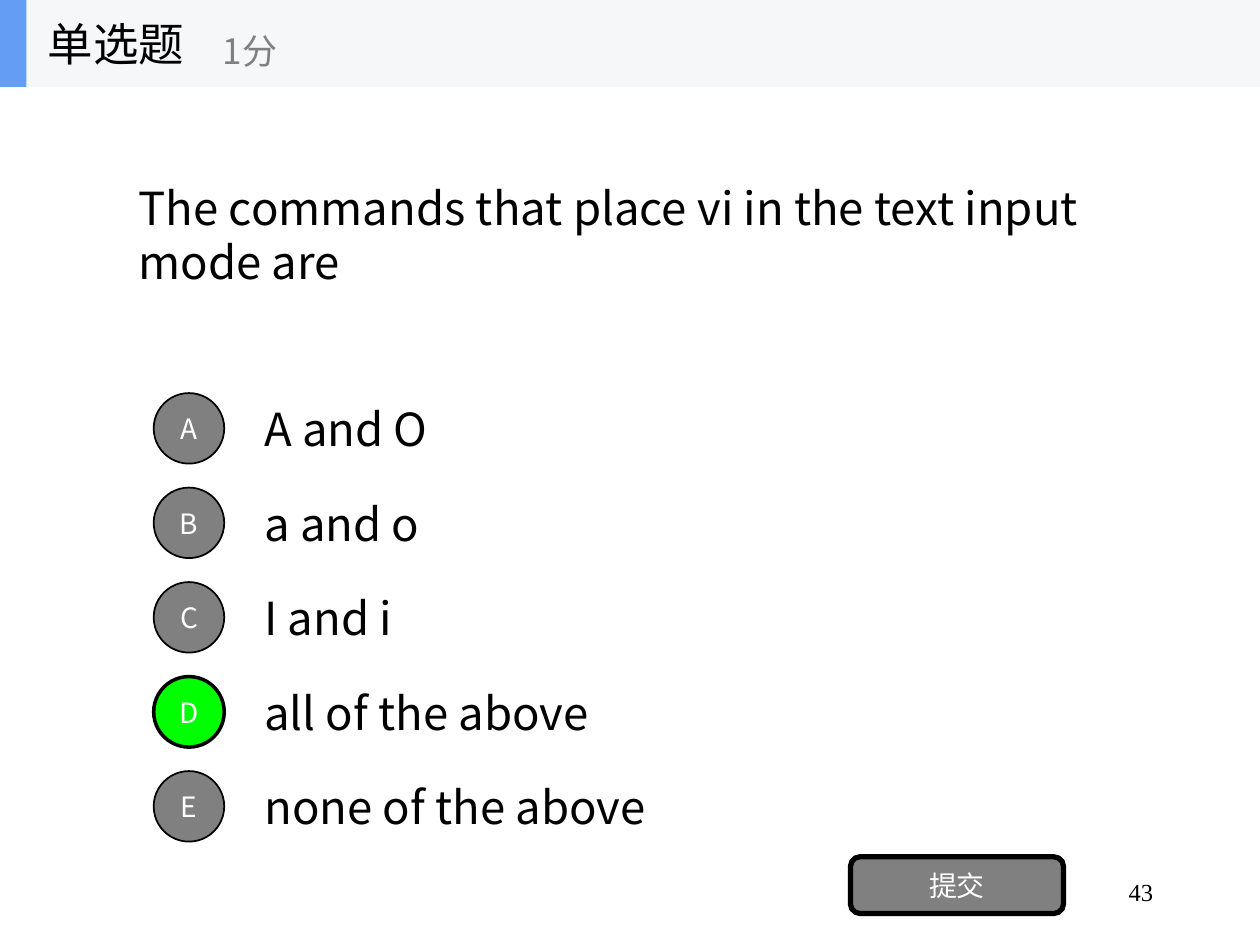
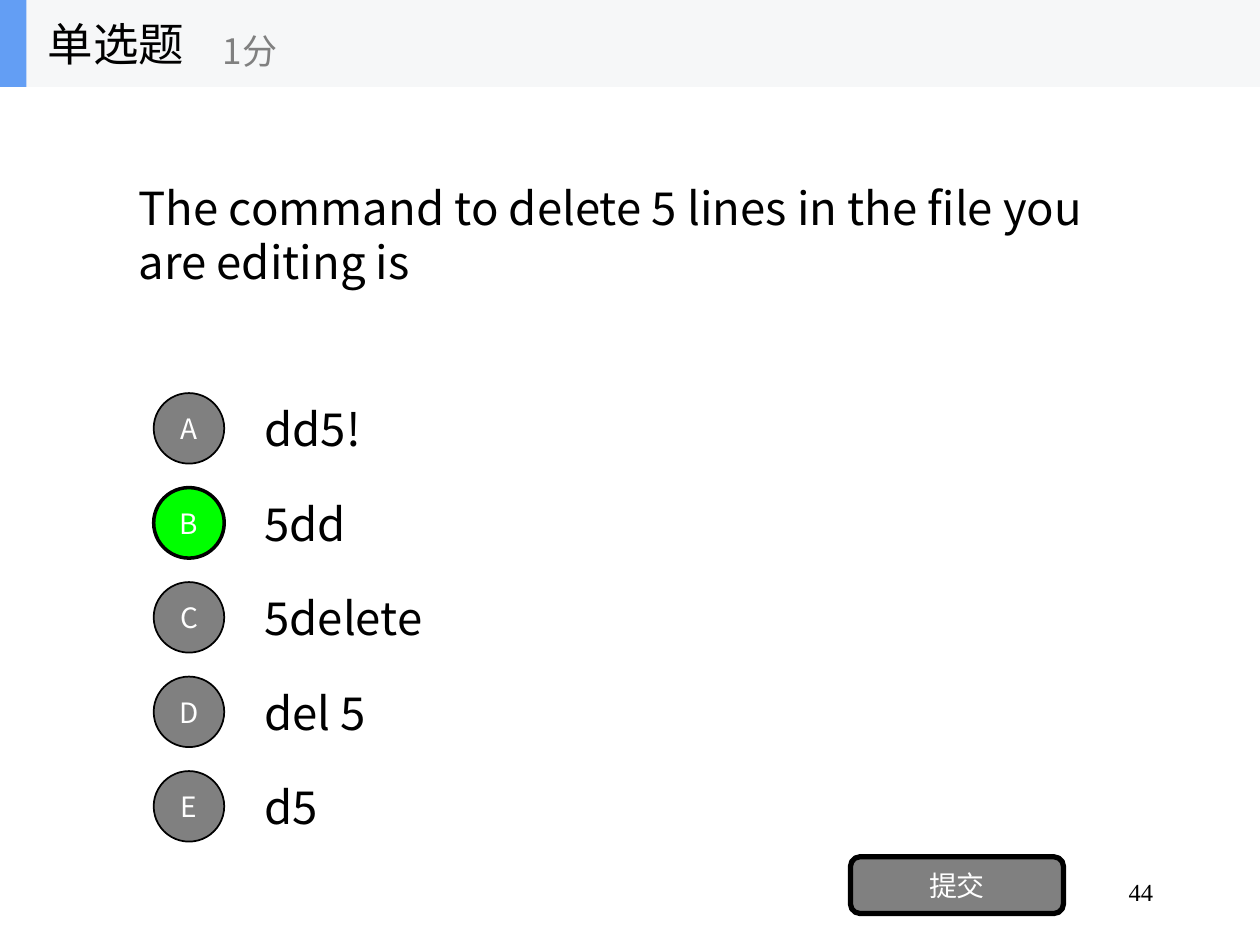
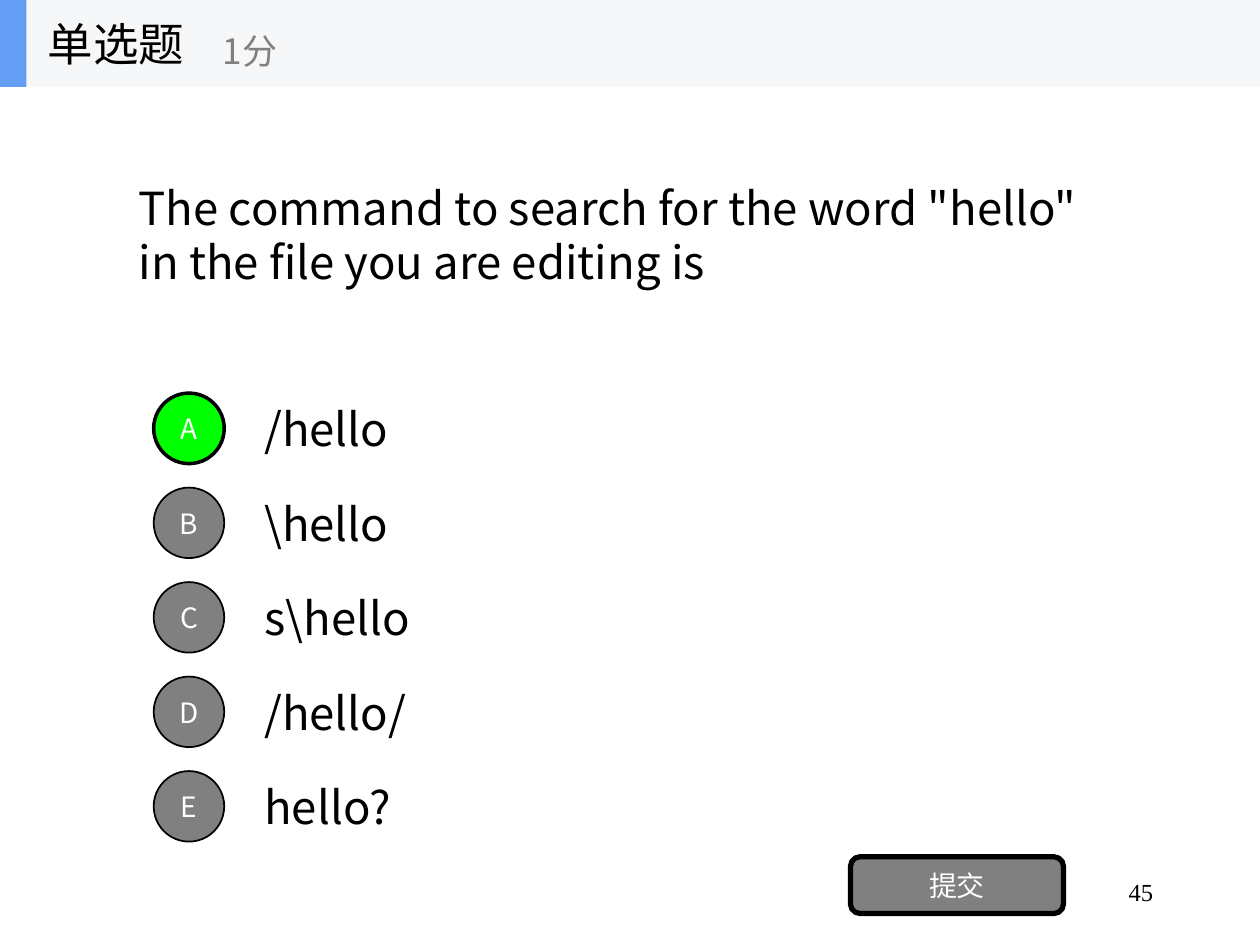
from dataclasses import dataclass

from lxml.etree import SubElement
from pptx import Presentation
from pptx.dml.color import RGBColor
from pptx.enum.shapes import MSO_SHAPE as Shape
from pptx.enum.text import MSO_ANCHOR as Anchor, MSO_AUTO_SIZE as AutoSize, PP_ALIGN as Align
from pptx.oxml.ns import qn
from pptx.util import Inches, Pt

COLORS = {
    "black": "000000",
    "white": "FFFFFF",
    "gray": "808080",
    "correct": "00FF00",
    "band": "F6F7F8",
    "accent": "639EF4",
}
SANS = "Noto Sans CJK SC"
SERIF = "Times New Roman"

FIRST_PAGE = 43
BAND_HEIGHT = 0.69
OPTION_TOP, OPTION_STEP, OPTION_HEIGHT = 3.05, 0.75, 0.7
BADGE_LEFT, BADGE_SIZE = 1.22, 0.56


@dataclass(frozen=True)
class Area:
    left: float
    top: float
    width: float
    height: float

    def lengths(self):
        return [Inches(n) for n in (self.left, self.top, self.width, self.height)]


@dataclass(frozen=True)
class Question:
    text: str
    options: tuple[str, ...]
    answer: str


QUESTIONS = (
    Question(
        "The commands that place vi in the text input mode are",
        ("A and O", "a and o", "I and i", "all of the above", "none of the above"),
        "D",
    ),
    Question(
        "The command to delete 5 lines in the file you are editing is",
        ("dd5!", "5dd", "5delete", "del 5", "d5"),
        "B",
    ),
    Question(
        'The command to search for the word "hello" in the file you are editing is',
        ("/hello", "\\hello", "s\\hello", "/hello/", "hello?"),
        "A",
    ),
)


def rgb(name: str) -> RGBColor:
    return RGBColor.from_string(COLORS[name])


def write(box, text: str, *, size=26, color="black", font=SANS, align=Align.LEFT, wrap=True):
    frame = box.text_frame
    frame.auto_size = AutoSize.NONE
    frame.word_wrap = wrap
    frame.vertical_anchor = Anchor.MIDDLE
    para = frame.paragraphs[0]
    para.alignment = align
    span = para.add_run()
    span.text = text
    span.font.size = Pt(size)
    span.font.name = font
    span.font.color.rgb = rgb(color)
    SubElement(span.font._element, qn("a:ea"), typeface=font)


def add_text(page, area: Area, text: str, **style):
    write(page.shapes.add_textbox(*area.lengths()), text, **style)


def add_block(page, kind, area: Area, fill: str, line_width=0):
    block = page.shapes.add_shape(kind, *area.lengths())
    block.shadow.inherit = False
    block.fill.solid()
    block.fill.fore_color.rgb = rgb(fill)
    if line_width:
        block.line.color.rgb = rgb("black")
        block.line.width = Pt(line_width)
    else:
        block.line.fill.background()
    return block


def add_button(page, kind, area: Area, text: str, fill: str, line_width: float):
    button = add_block(page, kind, area, fill, line_width)
    write(button, text, size=16, color="white", align=Align.CENTER, wrap=False)


def add_header(page):
    add_block(page, Shape.RECTANGLE, Area(0, 0, 10, BAND_HEIGHT), "band")
    add_block(page, Shape.RECTANGLE, Area(0, 0, 0.21, BAND_HEIGHT), "accent")
    add_text(page, Area(0.28, 0, 2.08, BAND_HEIGHT), "单选题")
    add_text(page, Area(1.67, 0.12, 2.5, 0.56), "1分", size=20, color="gray")


def add_options(page, question: Question):
    for index, (letter, option) in enumerate(zip("ABCDE", question.options)):
        top = OPTION_TOP + index * OPTION_STEP
        badge_top = top + (OPTION_HEIGHT - BADGE_SIZE) / 2
        fill, line_width = ("correct", 2) if letter == question.answer else ("gray", 1)
        add_text(page, Area(2, top, 7, OPTION_HEIGHT), option)
        add_button(page, Shape.OVAL, Area(BADGE_LEFT, badge_top, BADGE_SIZE, BADGE_SIZE),
                   letter, fill, line_width)


def add_question(deck, question: Question, number: int):
    page = deck.slides.add_slide(deck.slide_layouts[5])
    title = page.shapes.title
    title.left, title.top, title.width, title.height = Area(1, BAND_HEIGHT, 8, 2.34).lengths()
    write(title, question.text)
    add_text(page, Area(7.17, 6.83, 2.08, 0.5), str(number),
             size=14, font=SERIF, align=Align.RIGHT)
    add_options(page, question)
    add_button(page, Shape.ROUNDED_RECTANGLE, Area(6.75, 6.8, 1.69, 0.45), "提交", "gray", 3)
    add_header(page)


def main():
    deck = Presentation()
    deck.slide_width, deck.slide_height = Inches(10), Inches(7.5)
    for number, question in enumerate(QUESTIONS, FIRST_PAGE):
        add_question(deck, question, number)
    deck.save("out.pptx")


if __name__ == "__main__":
    main()
